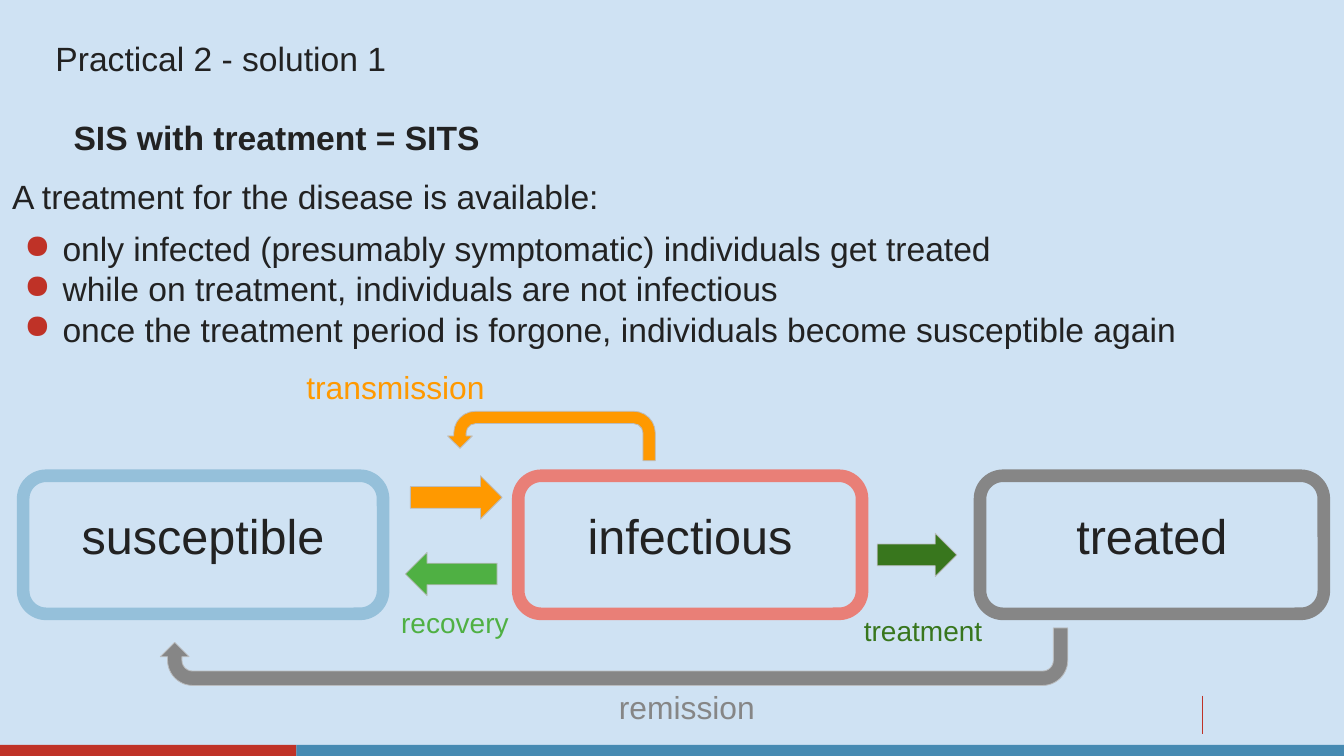
"""Build the slide on the SIS model with treatment."""
from dataclasses import dataclass

from lxml import etree
from pptx import Presentation
from pptx.dml.color import RGBColor
from pptx.enum.shapes import MSO_CONNECTOR, MSO_SHAPE
from pptx.enum.text import MSO_ANCHOR, MSO_AUTO_SIZE, PP_ALIGN
from pptx.oxml.ns import qn
from pptx.util import Inches, Pt

RECTANGLE, ROUNDED = MSO_SHAPE.RECTANGLE, MSO_SHAPE.ROUNDED_RECTANGLE
RIGHT, LEFT, U_TURN = MSO_SHAPE.RIGHT_ARROW, MSO_SHAPE.LEFT_ARROW, MSO_SHAPE.U_TURN_ARROW
ALIGN_LEFT, CENTER, JUSTIFY = PP_ALIGN.LEFT, PP_ALIGN.CENTER, PP_ALIGN.JUSTIFY
TOP, MIDDLE = MSO_ANCHOR.TOP, MSO_ANCHOR.MIDDLE
NO_AUTOFIT = MSO_AUTO_SIZE.NONE
STRAIGHT = MSO_CONNECTOR.STRAIGHT


@dataclass(frozen=True)
class Theme:
    """Colours, font and type sizes of the slide."""
    font: str = "Arial"
    background: str = "CFE2F3"
    text: str = "222222"
    red: str = "BF3227"
    blue: str = "468AB2"
    pale_blue: str = "95C0DA"
    pink: str = "E97F77"
    grey: str = "868686"
    orange: str = "FF9900"
    green: str = "4FB043"
    dark_green: str = "38761D"
    arrow_edge: str = "BABCBE"
    body_size: float = 24
    state_size: float = 34.7
    loop_size: float = 22.7
    flow_size: float = 20
    thin_line: float = 0.56
    state_line: float = 9


THEME = Theme()
TITLE = "Practical 2 - solution 1"
SUBTITLE = "SIS with treatment = SITS"
INTRO = "A treatment for the disease is available:"
BULLETS = [
    "only infected (presumably symptomatic) individuals get treated",
    "while on treatment, individuals are not infectious",
    "once the treatment period is forgone, individuals become susceptible again",
]
STATES = [
    ("susceptible", 0.23, 3.57, THEME.pale_blue),
    ("infectious", 5.14, 3.41, THEME.pink),
    ("treated", 9.72, 3.41, THEME.grey),
]
STATE_TOP, STATE_HEIGHT = 4.72, 1.37
LABEL_TOP, LABEL_WIDTH, LABEL_HEIGHT = 4.92, 3.19, 0.79
ARROWS = [
    (LEFT, (4.02, 5.48, 0.91, 0.43), THEME.green),
    (RIGHT, (4.07, 4.72, 0.91, 0.43), THEME.orange),
    (RIGHT, (8.7, 5.29, 0.79, 0.43), THEME.dark_green),
]
LOOPS = [
    ((4.44, 4.08, 2.06, 0.49), THEME.orange, 0, True),
    ((1.59, 6.23, 9, 0.57), THEME.grey, 180, False),
]
LOOP_ADJUSTMENTS = (0.25, 0.25, 0.25, 0.438, 0.75)
FLOW_LABELS = [
    ("recovery", (3.88, 5.91, 1.29, 0.54), THEME.flow_size, THEME.green),
    ("transmission", (2.94, 3.55, 2.5, 0.58), THEME.loop_size, THEME.orange),
    ("treatment", (8.47, 5.99, 1.63, 0.54), THEME.flow_size, THEME.dark_green),
    ("remission", (6.04, 6.72, 1.95, 0.58), THEME.loop_size, THEME.grey),
]
SLIDE_WIDTH, SLIDE_HEIGHT = 13.33, 7.5
FOOTER_HEIGHT, FOOTER_SPLIT = 0.11, 2.94
TEXT_INSETS, LABEL_INSETS = (0, 0.07, 0.13, 0.07), (0.1,) * 4


def rgb(colour):
    """Turn a hex string into a colour."""
    return RGBColor.from_string(colour)


def inches(values):
    """Turn plain numbers into lengths."""
    return [Inches(value) for value in values]


def write(box, lines, size, colour=THEME.text, insets=LABEL_INSETS, align=ALIGN_LEFT,
          anchor=TOP, bold=False):
    """Fill a text holder with formatted paragraphs and return them."""
    frame = box.text_frame
    frame.text = "\n".join(lines)
    frame.word_wrap = True
    frame.auto_size = NO_AUTOFIT
    frame.vertical_anchor = anchor
    (frame.margin_left, frame.margin_top,
     frame.margin_right, frame.margin_bottom) = inches(insets)
    for para in frame.paragraphs:
        para.alignment = align
        for span in para.runs:
            span.font.name = THEME.font
            span.font.size = Pt(size)
            span.font.bold = bold
            span.font.color.rgb = rgb(colour)
    return frame.paragraphs


def add_bullet(para):
    """Give a paragraph a red dot and a hanging indent."""
    properties = para._p.get_or_add_pPr()
    properties.set("marL", str(Inches(0.5)))
    properties.set("indent", str(Inches(-0.38)))
    colour = etree.SubElement(properties, qn("a:buClr"))
    etree.SubElement(colour, qn("a:srgbClr"), val=THEME.red)
    etree.SubElement(properties, qn("a:buChar"), char="●")


def draw(slide, kind, place, fill=None, line=None, width=THEME.thin_line):
    """Add a flat preset shape."""
    shape = slide.shapes.add_shape(kind, *inches(place))
    shape.shadow.inherit = False
    if fill:
        shape.fill.solid()
        shape.fill.fore_color.rgb = rgb(fill)
    else:
        shape.fill.background()
    if line:
        shape.line.color.rgb = rgb(line)
        shape.line.width = Pt(width)
    else:
        shape.line.fill.background()
    return shape


def add_footer(slide):
    """Add the two-colour strip and the short rule above it."""
    top = SLIDE_HEIGHT - FOOTER_HEIGHT
    rule = slide.shapes.add_connector(STRAIGHT, *inches((11.93, 6.9, 11.93, 7.28)))
    rule.line.color.rgb = rgb(THEME.red)
    rule.line.width = Pt(THEME.thin_line)
    etree.SubElement(rule._element.spPr, qn("a:effectLst"))
    draw(slide, RECTANGLE, (0, top, FOOTER_SPLIT, FOOTER_HEIGHT), THEME.red)
    draw(slide, RECTANGLE, (FOOTER_SPLIT, top, SLIDE_WIDTH - FOOTER_SPLIT, FOOTER_HEIGHT),
         THEME.blue)


def add_texts(slide):
    """Add the title, the subtitle and the bulleted text."""
    title = slide.shapes.title
    title.left, title.top, title.width, title.height = inches((0.55, 0.3, 8.9, 0.61))
    heading = write(title, [TITLE], THEME.body_size, insets=TEXT_INSETS, align=JUSTIFY,
                    anchor=MIDDLE)
    heading[0].line_spacing = 0.9
    body = slide.shapes.add_textbox(*inches((0.12, 1.68, 12.89, 1.57)))
    paras = write(body, [INTRO, *BULLETS], THEME.body_size, insets=TEXT_INSETS)
    paras[1].space_before = Pt(8)
    for para in paras[1:]:
        add_bullet(para)
    subtitle = slide.shapes.add_textbox(*inches((0.73, 1.09, 11.87, 0.47)))
    write(subtitle, [SUBTITLE], THEME.body_size, insets=TEXT_INSETS, bold=True)


def add_diagram(slide):
    """Add the states, the arrows between them and their labels."""
    for name, left, width, colour in STATES:
        draw(slide, ROUNDED, (left, STATE_TOP, width, STATE_HEIGHT), line=colour,
             width=THEME.state_line)
        label_left = left + (width - LABEL_WIDTH) / 2
        label = slide.shapes.add_textbox(
            *inches((label_left, LABEL_TOP, LABEL_WIDTH, LABEL_HEIGHT)))
        write(label, [name], THEME.state_size, align=CENTER)
    for kind, place, colour in ARROWS:
        draw(slide, kind, place, colour, THEME.arrow_edge)
    for place, colour, rotation, flipped in LOOPS:
        loop = draw(slide, U_TURN, place, colour, THEME.arrow_edge)
        loop.rotation = rotation
        for index, value in enumerate(LOOP_ADJUSTMENTS):
            loop.adjustments[index] = value
        if flipped:
            loop._element.spPr.xfrm.set("flipH", "1")
    for name, place, size, colour in FLOW_LABELS:
        write(slide.shapes.add_textbox(*inches(place)), [name], size, colour)


def main():
    """Build and save the deck."""
    deck = Presentation()
    deck.slide_width, deck.slide_height = inches((SLIDE_WIDTH, SLIDE_HEIGHT))
    page = deck.slides.add_slide(deck.slide_layouts[5])
    page.background.fill.solid()
    page.background.fill.fore_color.rgb = rgb(THEME.background)
    add_footer(page)
    add_texts(page)
    add_diagram(page)
    deck.save("out.pptx")


if __name__ == "__main__":
    main()
